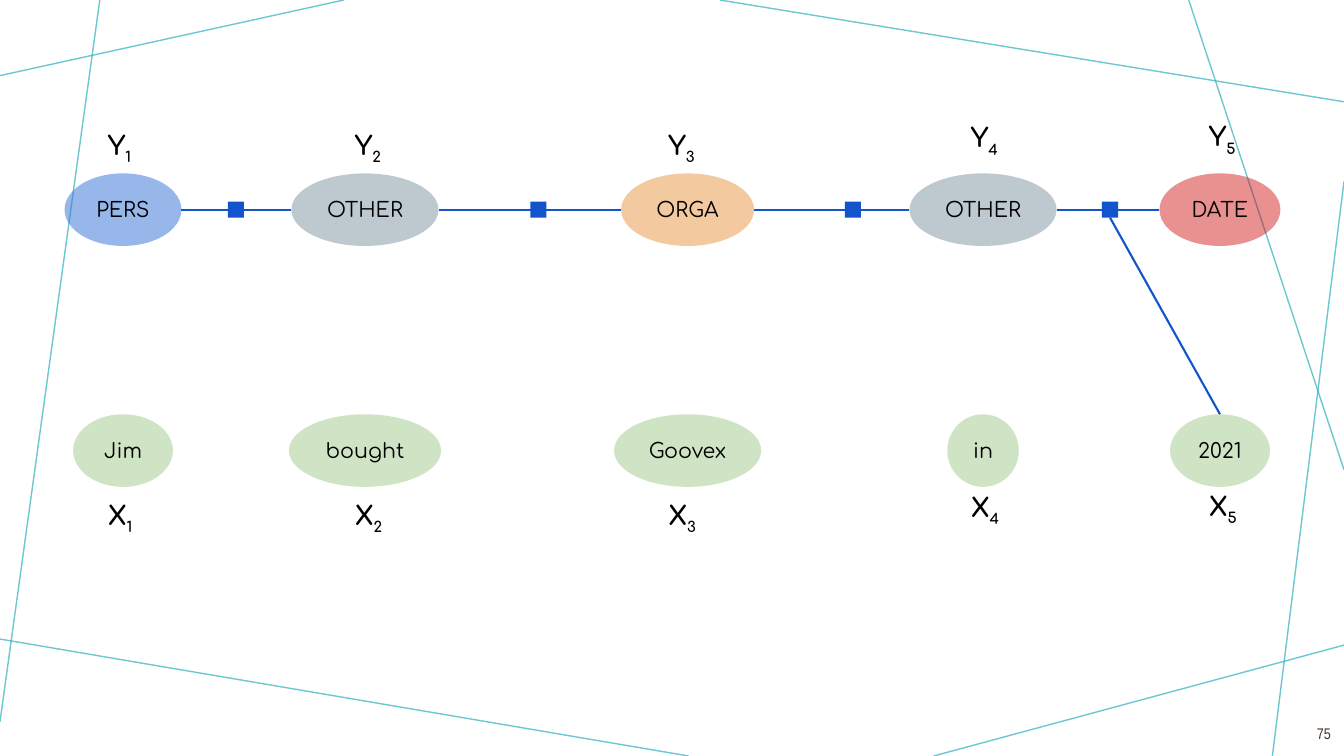
from dataclasses import dataclass

from lxml.etree import SubElement as Sub
from pptx import Presentation
from pptx.dml.color import RGBColor as RGB
from pptx.enum.shapes import MSO_CONNECTOR as Link, MSO_SHAPE as Kind
from pptx.enum.text import MSO_ANCHOR as Anchor, PP_ALIGN as Align
from pptx.oxml.ns import qn
from pptx.util import Inches, Pt


@dataclass(frozen=True)
class Theme:
    """Colours, fonts and type sizes of the slide."""
    font: str = "Comfortaa"
    thin: str = "Arial Narrow"
    ink: str = "000000"
    brown: str = "413224"
    teal: str = "2FB0C0"
    blue: str = "1154CC"
    person: str = "3B77D8"
    other: str = "77909C"
    orga: str = "E69138"
    date: str = "CC0000"
    green: str = "93C37C"
    word: float = 14.7
    name: float = 18.7
    sub: float = 18
    page: float = 11


T = Theme()
TAG_Y, WORD_Y = 2.08, 4.47
TALL, SIDE = 0.72, 0.16

EDGES = [
    (3.41, 0, 0, 0.75),
    (0.99, 0, 0, 7.16),
    (6.83, 7.5, 0, 6.34),
    (13.33, 6.4, 9.26, 7.5),
    (13.33, 1.8, 12.62, 7.5),
    (13.33, 4.66, 11.79, 0),
    (13.33, 1.01, 7.14, 0),
]

# Centre, tag, tag width, tag colour, tag opacity, word, word width, name left, Y top, X top
STEPS = [
    (1.22, "PERS", 1.16, T.person, 53, "Jim", 0.99, 1.01, 1.26, 4.93),
    (3.62, "OTHER", 1.46, T.other, 48, "bought", 1.51, 3.46, 1.26, 4.93),
    (6.82, "ORGA", 1.32, T.orga, 48, "Goovex", 1.46, 6.57, 1.26, 4.93),
    (9.75, "OTHER", 1.46, T.other, 48, "in", 0.71, 9.57, 1.18, 4.85),
    (12.1, "DATE", 1.2, T.date, 43, "2021", 0.99, 11.93, 1.17, 4.84),
]
NODES = [2.34, 5.34, 8.46, 11.01]


def fade(shape, share):
    """Set the opacity of a shape's colour in percent."""
    tint = next(shape.element.spPr.iter(qn("a:srgbClr")))
    Sub(tint, qn("a:alpha"), val=str(share * 1000))


def write(para, text, size=T.word, font=T.font, color=T.ink, bold=False, drop=0):
    """Add a formatted run, lowered by drop percent."""
    run = para.add_run()
    run.text = text
    run.font.size = Pt(size)
    run.font.name = font
    run.font.bold = bold
    run.font.color.rgb = RGB.from_string(color)
    if drop:
        run.font._element.set("baseline", str(-drop * 1000))


def setup(frame, left=0, top=0, wrap=False, anchor=Anchor.TOP):
    """Set the margins of a text frame and return its first paragraph."""
    frame.margin_left, frame.margin_top = Inches(left), Inches(top)
    frame.margin_right = frame.margin_bottom = 0
    frame.word_wrap = wrap
    frame.vertical_anchor = anchor
    return frame.paragraphs[0]


def line(slide, ends, color, width, share=100):
    """Draw a straight line between two points."""
    link = slide.shapes.add_connector(Link.STRAIGHT, *map(Inches, ends))
    link.line.color.rgb = RGB.from_string(color)
    link.line.width = Pt(width)
    Sub(link.element.spPr, qn("a:effectLst"))
    if share < 100:
        fade(link, share)


def block(slide, kind, mid, size, color):
    """Draw a filled shape around its centre."""
    (x, y), (w, h) = mid, size
    box = map(Inches, (x - w / 2, y - h / 2, w, h))
    shape = slide.shapes.add_shape(kind, *box)
    shape.shadow.inherit = False
    shape.fill.solid()
    shape.fill.fore_color.rgb = RGB.from_string(color)
    shape.line.fill.background()
    return shape


def oval(slide, x, y, width, color, share, text):
    """Draw a see-through oval with a word in it."""
    shape = block(slide, Kind.OVAL, (x, y), (width, TALL), color)
    fade(shape, share)
    para = setup(shape.text_frame, anchor=Anchor.MIDDLE)
    para.alignment = Align.CENTER
    write(para, text)


def name(slide, x, y, sign, index, drop=31):
    """Write a variable name with its index."""
    box = slide.shapes.add_textbox(*map(Inches, (x, y, 0.4, 0.33)))
    para = setup(box.text_frame, left=0.06, top=0.02)
    para.space_before = Pt(1.3)
    write(para, sign, size=T.name, bold=True)
    write(para, str(index), size=T.sub, bold=True, drop=drop)


def page(slide, text):
    """Write the page number in the corner."""
    box = slide.shapes.add_textbox(*map(Inches, (12.69, 7, 0.51, 0.4)))
    para = setup(box.text_frame, wrap=True, anchor=Anchor.MIDDLE)
    para.alignment = Align.RIGHT
    para.line_spacing = Pt(24.4)
    write(para, text, size=T.page, font=T.thin, color=T.brown)


def chain(slide):
    """Join the tags in a row and the last node to its word."""
    for one, two in zip(STEPS, STEPS[1:]):
        start, end = one[0] + one[2] / 2, two[0] - two[2] / 2
        line(slide, (start, TAG_Y, end, TAG_Y), T.blue, 1.5)
    foot = (STEPS[-1][0], WORD_Y - TALL / 2, NODES[-1], TAG_Y + SIDE / 2)
    line(slide, foot, T.blue, 1.5)
    for x in NODES:
        block(slide, Kind.RECTANGLE, (x, TAG_Y), (SIDE, SIDE), T.blue)


def main():
    """Build and save the slide."""
    deck = Presentation()
    deck.slide_width, deck.slide_height = Inches(13.33), Inches(7.5)
    slide = deck.slides.add_slide(deck.slide_layouts[6])
    for ends in EDGES:
        line(slide, ends, T.teal, 1, share=70)
    page(slide, "75")
    chain(slide)
    for index, step in enumerate(STEPS, 1):
        x, tag, wide, color, share, word, span, left, high, low = step
        oval(slide, x, TAG_Y, wide, color, share, tag)
        oval(slide, x, WORD_Y, span, T.green, 44, word)
        name(slide, left, high, "Y", index, drop=34 if index > 3 else 31)
        name(slide, left, low, "X", index)
    deck.save("out.pptx")


if __name__ == "__main__":
    main()
